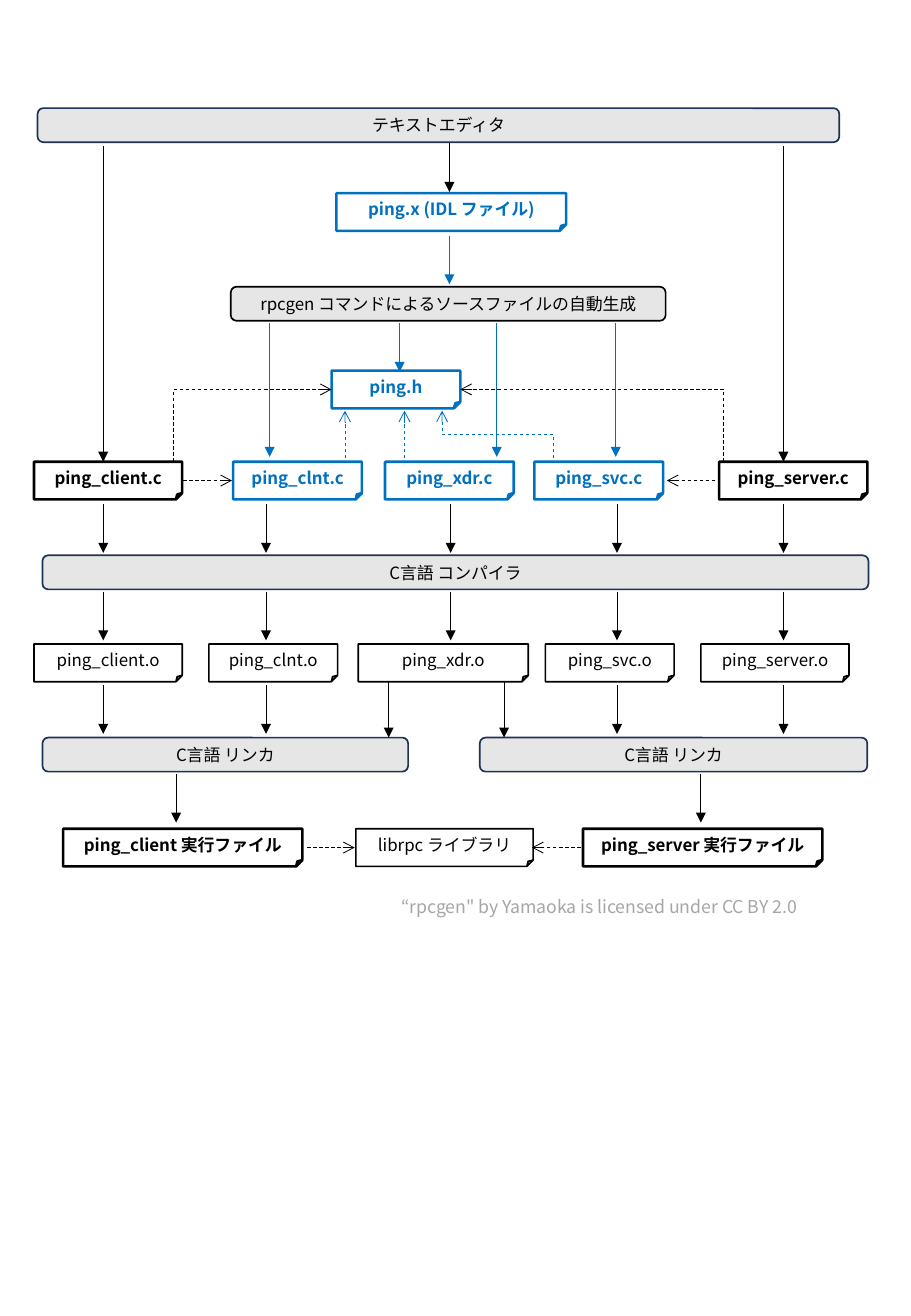
"""Draw the rpcgen build flow, from the text editor to the linked executables."""
import lxml.etree
import pptx
import pptx.dml.color
import pptx.enum.dml
import pptx.enum.shapes
import pptx.enum.text
import pptx.oxml.ns
import pptx.util

COLORS = {"black": "000000", "blue": "0070C0", "navy": "1E3256",
          "gray": "E7E6E6", "white": "FFFFFF", "credit": "A6A6A6"}
FONT = "Noto Sans CJK JP"
TOOL_H, FILE_H, STEP = 0.28, 0.31, 0.4
ROWS = {"editor": 0.89, "idl": 1.59, "rpcgen": 2.36, "header": 3.05,
        "source": 3.8, "compiler": 4.57, "object": 5.3, "linker": 6.07,
        "program": 6.82, "credit": 7.32}
FLOW_COLS = (0.85, 2.19, 3.71, 5.08, 6.45)
SHAPES = pptx.enum.shapes.MSO_SHAPE
STRAIGHT = pptx.enum.shapes.MSO_CONNECTOR.STRAIGHT
ELBOW = pptx.enum.shapes.MSO_CONNECTOR.ELBOW
qn = pptx.oxml.ns.qn


def inches(*lengths):
    return [pptx.util.Inches(n) for n in lengths]


def rgb(name):
    return pptx.dml.color.RGBColor.from_string(COLORS[name])


def add_text(tf, text, size, color, bold=False):
    p = tf.paragraphs[0]
    p.alignment = pptx.enum.text.PP_ALIGN.CENTER
    r = p.add_run()
    r.text = text
    r.font.size = pptx.util.Pt(size)
    r.font.bold = bold
    r.font.color.rgb = rgb(color)
    r.font.name = FONT
    lxml.etree.SubElement(r.font._element, qn("a:ea")).set("typeface", FONT)


def add_box(s, kind, place, text, fill, line, weight, color, bold):
    sp = s.shapes.add_shape(kind, *inches(*place))
    sp.shadow.inherit = False
    sp.fill.solid()
    sp.fill.fore_color.rgb = rgb(fill)
    sp.line.color.rgb = rgb(line)
    sp.line.width = pptx.util.Pt(weight)
    sp.text_frame.word_wrap = True
    sp.text_frame.vertical_anchor = pptx.enum.text.MSO_ANCHOR.MIDDLE
    add_text(sp.text_frame, text, 10, color, bold)


def add_tool(s, row, left, width, text, line="navy"):
    add_box(s, SHAPES.ROUNDED_RECTANGLE, (left, ROWS[row], width, TOOL_H),
            text, "gray", line, 1, "black", False)


def add_file(s, row, left, width, text, color="black", bold=False):
    add_box(s, SHAPES.FOLDED_CORNER, (left, ROWS[row], width, FILE_H),
            text, "white", color, 1.5 if bold else 1, color, bold)


def add_arrow(s, start, end, color="black", dashed=False, kind=STRAIGHT):
    c = s.shapes.add_connector(kind, *inches(*start, *end))
    c.line.color.rgb = rgb(color)
    c.line.width = pptx.util.Pt(0.5)
    if dashed:
        c.line.dash_style = pptx.enum.dml.MSO_LINE.DASH
    head = lxml.etree.SubElement(c.line._get_or_add_ln(), qn("a:tailEnd"))
    head.set("type", "arrow" if dashed else "triangle")
    lxml.etree.SubElement(c._element.spPr, qn("a:effectLst"))
    return c


def add_down_arrow(s, x, top, length=STEP, color="black"):
    add_arrow(s, (x, top), (x, top + length), color)


def add_rising_elbow(s, start, end, preset, color="black"):
    """Turn an elbow a quarter left so that it leaves its start upwards."""
    mid_x, mid_y = (start[0] + end[0]) / 2, (start[1] + end[1]) / 2
    half_rise, half_run = (start[1] - end[1]) / 2, (end[0] - start[0]) / 2
    c = add_arrow(s, (mid_x - half_rise, mid_y - half_run),
                  (mid_x + half_rise, mid_y + half_run), color, True, ELBOW)
    c._element.spPr.find(qn("a:xfrm")).set("rot", "16200000")
    c._element.spPr.find(qn("a:prstGeom")).set("prst", preset)


def add_tools(s):
    add_tool(s, "editor", 0.31, 6.6, "テキストエディタ")
    add_tool(s, "rpcgen", 1.9, 3.58,
             "rpcgen コマンドによるソースファイルの自動生成", "black")
    add_tool(s, "compiler", 0.35, 6.8, "C言語 コンパイラ")
    for left, width in ((0.35, 3.01), (3.95, 3.19)):
        add_tool(s, "linker", left, width, "C言語 リンカ")


def add_files(s):
    add_file(s, "idl", 2.77, 1.89, "ping.x (IDL ファイル)", "blue", True)
    add_file(s, "header", 2.73, 1.06, "ping.h", "blue", True)
    for left, name in ((1.92, "clnt"), (3.17, "xdr"), (4.4, "svc")):
        add_file(s, "source", left, 1.06, f"ping_{name}.c", "blue", True)
    for left, name in ((0.28, "client"), (5.92, "server")):
        add_file(s, "source", left, 1.22, f"ping_{name}.c", bold=True)
    for left, width, name in ((0.28, 1.22, "client"), (1.72, 1.06, "clnt"),
                              (2.95, 1.4, "xdr"), (4.49, 1.06, "svc"),
                              (5.77, 1.22, "server")):
        add_file(s, "object", left, width, f"ping_{name}.o")
    for left, name in ((0.52, "client"), (4.8, "server")):
        add_file(s, "program", left, 1.97, f"ping_{name} 実行ファイル", bold=True)
    add_file(s, "program", 2.93, 1.46, "librpc ライブラリ")


def add_flow(s):
    below_editor = ROWS["editor"] + TOOL_H + 0.03
    below_rpcgen = ROWS["rpcgen"] + TOOL_H + 0.02
    for x in (FLOW_COLS[0], FLOW_COLS[-1]):
        add_down_arrow(s, x, below_editor, 2.6)
    add_down_arrow(s, 3.7, below_editor - 0.02)
    add_down_arrow(s, 3.7, ROWS["idl"] + FILE_H + 0.04, color="blue")
    add_down_arrow(s, 3.29, below_rpcgen, color="blue")
    for x in (2.22, 4.09, 5.07):
        add_down_arrow(s, x, below_rpcgen, 1.1, "blue")
    for i, x in enumerate(FLOW_COLS):
        add_down_arrow(s, x, ROWS["source"] + FILE_H + 0.04)
        add_down_arrow(s, x, ROWS["compiler"] + TOOL_H + 0.02)
        if i != 2:
            add_down_arrow(s, x, ROWS["object"] + FILE_H + 0.03)
    for x in (3.2, 4.15):
        add_down_arrow(s, x, ROWS["object"] + FILE_H, 0.46)
    for x in (1.45, 5.77):
        add_down_arrow(s, x, ROWS["linker"] + TOOL_H + 0.02)


def add_references(s):
    source_y = ROWS["source"] + FILE_H / 2
    header_y = ROWS["header"] + FILE_H / 2
    program_y = ROWS["program"] + FILE_H / 2
    for start, end, y in ((1.51, 1.91, source_y), (5.89, 5.49, source_y),
                          (2.53, 2.92, program_y), (4.78, 4.38, program_y)):
        add_arrow(s, (start, y), (end, y), dashed=True)
    for start, end in ((1.43, 2.73), (5.96, 3.79)):
        add_rising_elbow(s, (start, ROWS["source"]), (end, header_y),
                         "bentConnector2")
    under_header = ROWS["header"] + FILE_H + 0.02
    over_source = ROWS["source"] - 0.03
    for x in (2.84, 3.33):
        add_arrow(s, (x, over_source), (x, under_header), "blue", True)
    add_rising_elbow(s, (4.56, over_source), (3.64, under_header),
                     "bentConnector3", "blue")


def add_credit(s):
    sp = s.shapes.add_textbox(*inches(3.03, ROWS["credit"], 3.84, TOOL_H))
    sp.text_frame.word_wrap = False
    add_text(sp.text_frame, "“rpcgen\" by Yamaoka is licensed under CC BY 2.0 ",
             10.5, "credit")


def main():
    prs = pptx.Presentation()
    prs.slide_width, prs.slide_height = inches(7.5, 10.83)
    s = prs.slides.add_slide(prs.slide_layouts[6])
    add_tools(s)
    add_files(s)
    add_flow(s)
    add_references(s)
    add_credit(s)
    prs.save("out.pptx")


if __name__ == "__main__":
    main()
